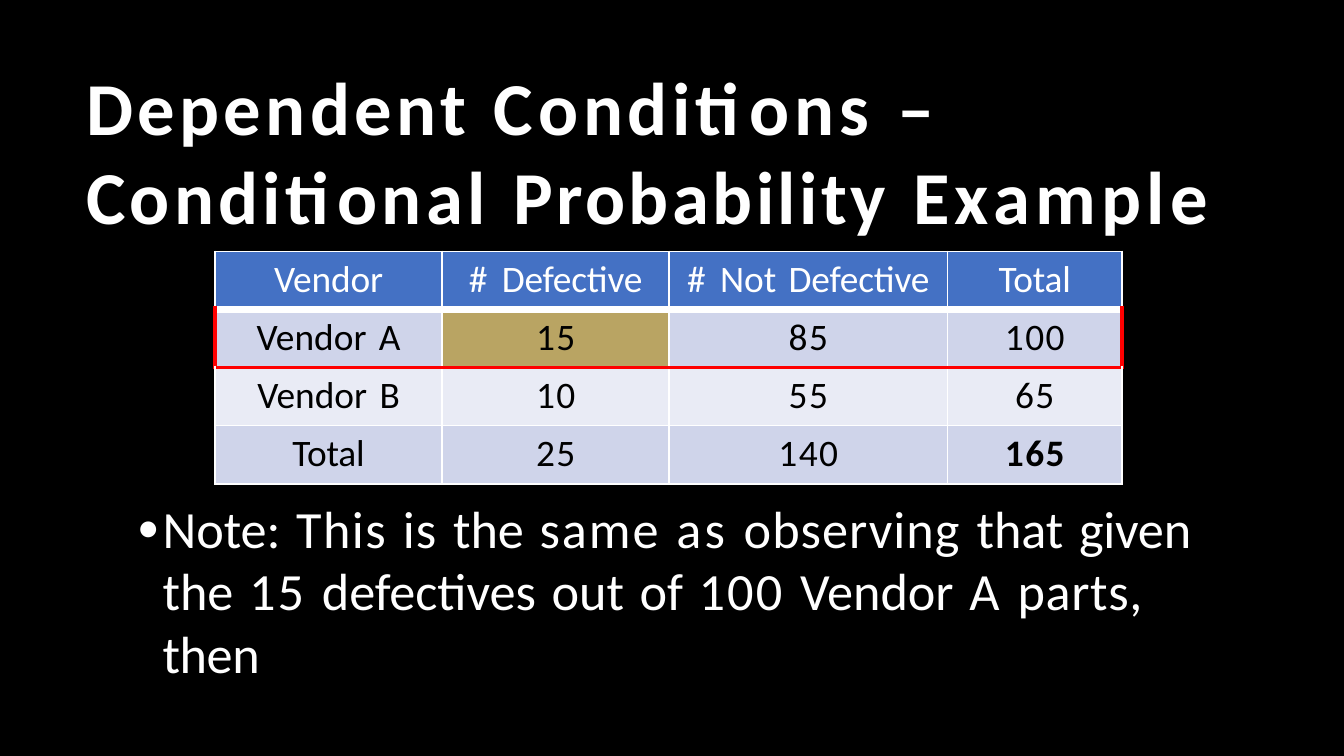
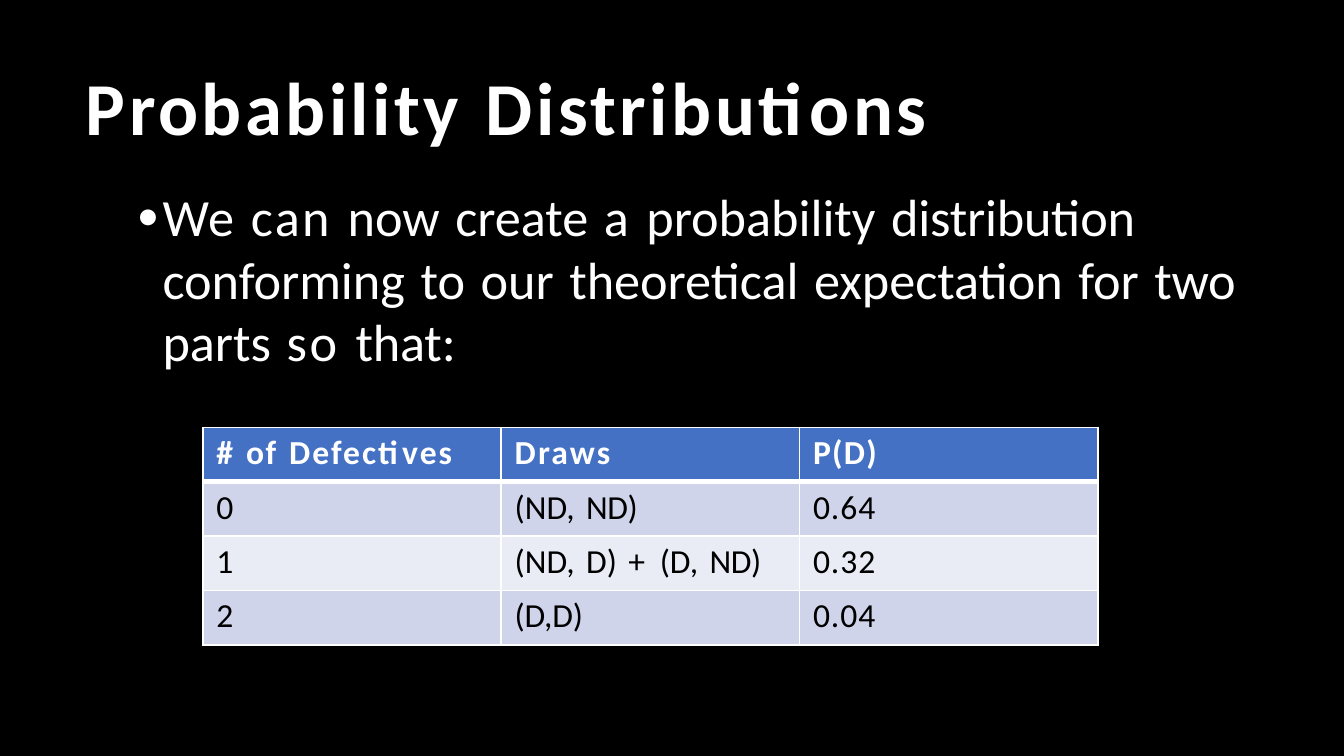
from itertools import groupby

from pptx import Presentation
from pptx import util as u
from pptx.dml.color import RGBColor
from pptx.enum import text
from pptx.oxml import ns
from lxml import etree

FONT = "Calibri"
BLACK, WHITE, RED = "000000", "FFFFFF", "FF0000"
HEADER, BAND_DARK, BAND_LIGHT, GOLD = "4471C4", "CFD4EA", "E9EBF5", "B9A463"
TITLE_LEFT, TITLE_TOP = 0.64, 0.44
TITLE_SIZE, BODY_SIZE = 40, 28
TITLE_GAP, BODY_GAP = 3, 2  # letter spacing of the spaces between words
BODY_LEFT = 1


def color(hex_code):
    return RGBColor.from_string(hex_code)


def add_element(parent, tag, **attributes):
    element = etree.SubElement(parent, ns.qn(tag))
    for name, value in attributes.items():
        element.set(name, str(value))
    return element


def write_runs(paragraph, runs, size, hex_code, bold=False, gap=BODY_GAP):
    """Write (text, letter spacing in points) pairs; spaces are spaced by gap."""
    font = paragraph.font
    font.name, font.size, font.bold = FONT, u.Pt(size), bold
    font.color.rgb = color(hex_code)
    for words, spacing in runs:
        for is_space, letters in groupby(words, str.isspace):
            run = paragraph.add_run()
            run.text = "".join(letters)
            tracking = gap if is_space else spacing
            if tracking:
                run.font._element.set("spc", str(round(tracking * 100)))


def add_slide(presentation):
    slide = presentation.slides.add_slide(presentation.slide_layouts[6])
    fill = slide.background.fill
    fill.solid()
    fill.fore_color.rgb = color(BLACK)
    return slide


def add_text_frame(slide, left, top, width, height):
    box = slide.shapes.add_textbox(*map(u.Inches, (left, top, width, height)))
    frame = box.text_frame
    frame.word_wrap = True
    frame.auto_size = text.MSO_AUTO_SIZE.SHAPE_TO_FIT_TEXT
    frame.margin_left = frame.margin_right = frame.margin_bottom = 0
    frame.margin_top = u.Inches(0.01)
    return frame


def add_title(slide, width, height, lines):
    frame = add_text_frame(slide, TITLE_LEFT, TITLE_TOP, width, height)
    for index, runs in enumerate(lines):
        paragraph = frame.add_paragraph() if index else frame.paragraphs[0]
        write_runs(paragraph, runs, TITLE_SIZE, WHITE, bold=True, gap=TITLE_GAP)


def add_bullet(slide, top, width, runs):
    frame = add_text_frame(slide, BODY_LEFT, top, width, 1.43)
    paragraph = frame.paragraphs[0]
    properties = paragraph._p.get_or_add_pPr()
    properties.set("marL", str(u.Inches(0.21)))
    properties.set("indent", str(u.Inches(-0.19)))
    add_element(properties, "a:buSzPct", val=86000)
    add_element(properties, "a:buFont", typeface=FONT)
    add_element(properties, "a:buChar", char="•")
    tabs = add_element(properties, "a:tabLst")
    add_element(tabs, "a:tab", pos=u.Inches(0.21), algn="l")
    write_runs(paragraph, runs, BODY_SIZE, WHITE)


def set_borders(cell, edges):
    """Draw the edges, a dict of side letter to (colour, width in points)."""
    properties = cell._tc.get_or_add_tcPr()
    for side in "LRTB":
        hex_code, width = edges[side]
        line = add_element(properties, f"a:ln{side}", w=u.Pt(width))
        add_element(add_element(line, "a:solidFill"), "a:srgbClr", val=hex_code)


def cell_edges(row, column, last_column, header_rule, boxed_row):
    """White grid, a thick rule under the header, red around the boxed row."""
    edges = dict.fromkeys("LRTB", (WHITE, 1))
    red = (RED, 2.25)
    if row == 0:
        edges["B"] = (WHITE, header_rule)
    elif row == 1:
        edges["T"] = (WHITE, header_rule)
    if boxed_row is not None:
        if row == boxed_row:
            edges["B"] = red
            if column == 0:
                edges["L"] = red
            if column == last_column:
                edges["R"] = red
        elif row == boxed_row + 1:
            edges["T"] = red
    return edges


def add_grid(slide, left, top, widths, height, rows, size, header_rule,
             align=text.PP_ALIGN.LEFT, indent=0, boxed_row=None,
             bold_cells=(), gold_cells=()):
    frame = slide.shapes.add_table(
        len(rows), len(widths), u.Inches(left), u.Inches(top),
        u.Inches(sum(widths)), u.Inches(height))
    table = frame.table
    table.first_row = table.horz_banding = False
    for column, width in zip(table.columns, widths):
        column.width = u.Inches(width)
    for row, contents in enumerate(rows):
        table.rows[row].height = u.Inches(height / len(rows))
        band = HEADER if row == 0 else BAND_DARK if row % 2 else BAND_LIGHT
        for column, runs in enumerate(contents):
            place = (row, column)
            cell = table.cell(*place)
            cell.margin_left = u.Inches(indent)
            cell.margin_right = cell.margin_bottom = 0
            cell.margin_top = u.Inches(0.04)
            set_borders(cell, cell_edges(row, column, len(widths) - 1,
                                         header_rule, boxed_row))
            cell.fill.solid()
            cell.fill.fore_color.rgb = color(GOLD if place in gold_cells else band)
            paragraph = cell.text_frame.paragraphs[0]
            paragraph.alignment = align
            write_runs(paragraph, runs, size, BLACK if row else WHITE,
                       bold=place in bold_cells)


def numbers(*values, spacing):
    return [[(value, spacing)] for value in values]


def build_conditional_probability(presentation):
    slide = add_slide(presentation)
    add_title(slide, 8.48, 1.36, [
        [("Dependent ", 2.4), ("Conditions ", 2.6), ("–", -0.5)],
        [("Conditional ", 2.3), ("Probability ", 1.9), ("Example", 2.9)]])
    add_bullet(slide, 3.68, 7.91, [
        ("Note: ", 0), ("This ", 0.8), ("is ", 0.6), ("the ", 0),
        ("same ", 1.1), ("as ", 1.7), ("observing ", 0.6), ("that ", 0),
        ("given ", -0.1), ("the ", 0), ("15 ", 1.2),
        ("defectives out of ", 0), ("100 ", 1.2), ("Vendor ", 0),
        ("A ", 1.3), ("parts, ", 0.4), ("then", -0.2)])
    total = [("Total", -0.1)]
    vendor_rows = [
        [[("Vendor", -0.1)], [("# ", 1.1), ("Defective", -0.1)],
         [("# ", 1.1), ("Not ", 0), ("Defective", -0.1)], total],
        [[("Vendor ", 0), ("A", 0.4)], *numbers("15", "85", "100", spacing=0.8)],
        [[("Vendor ", 0), ("B", 1.9)], *numbers("10", "55", "65", spacing=0.8)],
        [total, *numbers("25", "140", "165", spacing=0.8)]]
    add_grid(slide, 1.6, 1.87, [1.69, 1.69, 2.07, 1.3], 1.73, vendor_rows,
             size=20, header_rule=4.5, align=text.PP_ALIGN.CENTER,
             boxed_row=1, bold_cells=[(3, 3)], gold_cells=[(1, 1)])


def build_probability_distributions(presentation):
    slide = add_slide(presentation)
    add_title(slide, 8.56, 0.69, [[("Probability Distributions", 1.9)]])
    add_bullet(slide, 1.36, 8.36, [
        ("We ", 0.6), ("can ", 1.3), ("now create ", 0), ("a ", 1.1),
        ("probability ", 0), ("distribution ", -0.1),
        ("conforming to our theoretical expectation for ", 0),
        ("two ", -0.2), ("parts ", 0), ("so ", 1.5), ("that:", -0.1)])
    draw_rows = [
        [[("# ", 0.9), ("of ", 0.8), ("Defectives", 1.1)],
         [("Draws", 1.2)], [("P(D)", 0.7)]],
        [[("0", 0.3)], [("(ND, ", 0), ("ND)", -0.2)], [("0.64", 0.5)]],
        [[("1", 0.3)],
         [("(ND, D) ", 0), ("+ ", 1.8), ("(D, ", 0), ("ND)", -0.2)],
         [("0.32", 0.5)]],
        [[("2", 0.3)], [("(D,D)", -0.1)], [("0.04", 0.5)]]]
    add_grid(slide, 1.51, 3.18, [2.22] * 3, 1.62, draw_rows, size=18,
             header_rule=3, indent=0.1,
             bold_cells=[(0, column) for column in range(3)])


def main():
    presentation = Presentation()
    presentation.slide_width = u.Inches(10)
    presentation.slide_height = u.Inches(10) * 9 // 16
    build_conditional_probability(presentation)
    build_probability_distributions(presentation)
    presentation.save("out.pptx")


if __name__ == "__main__":
    main()
